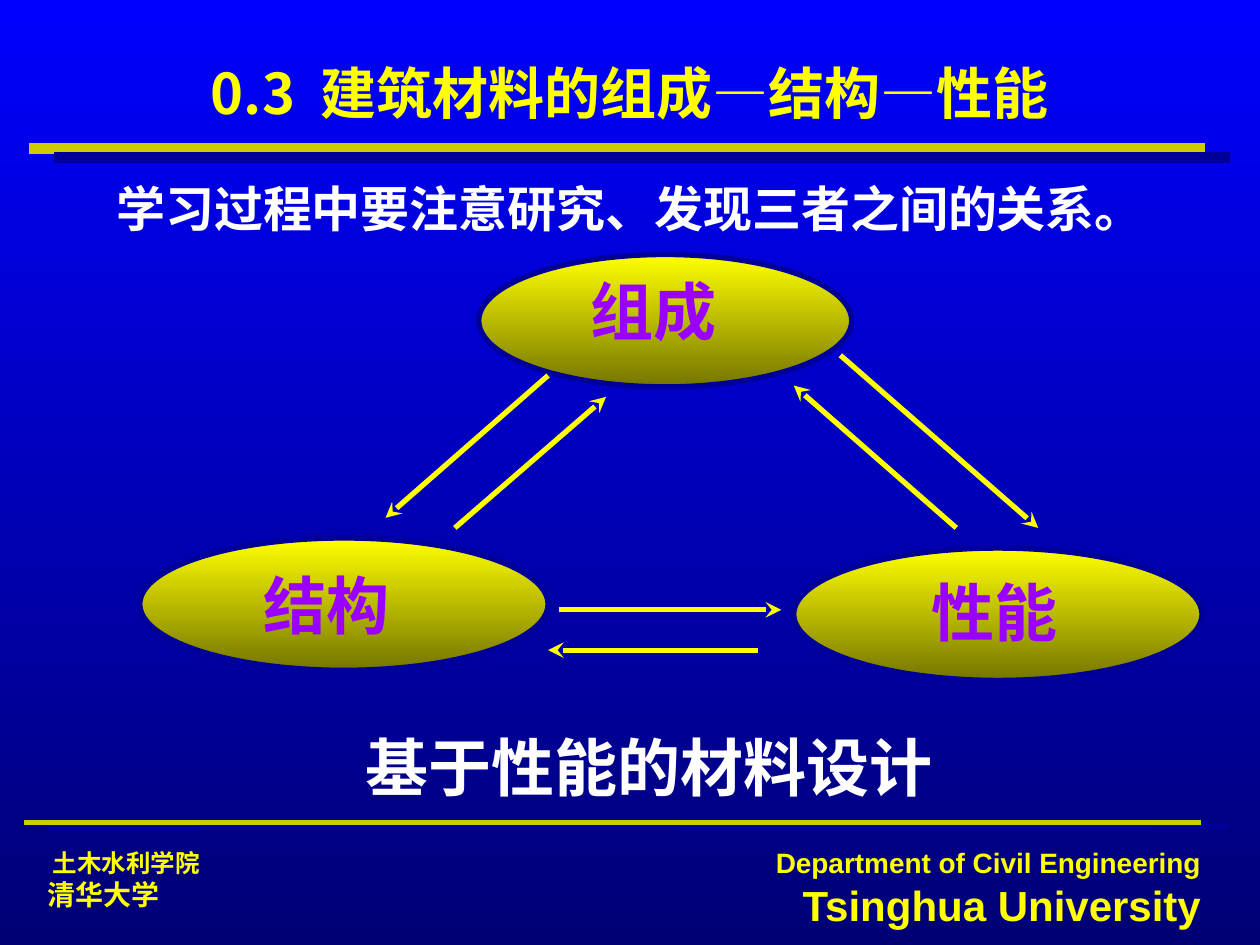
from dataclasses import dataclass

from lxml import etree
from pptx import Presentation
from pptx import util as u
from pptx.dml.color import RGBColor
from pptx.enum import shapes, text
from pptx.oxml import ns

YELLOW = RGBColor(0xFF, 0xFF, 0x00)
OLIVE = RGBColor(0x75, 0x75, 0x00)
GOLD = RGBColor(0xCC, 0xCC, 0x00)
BLUE = RGBColor(0x00, 0x00, 0xFF)
NAVY = RGBColor(0x00, 0x00, 0x75)
SHADE = RGBColor(0x00, 0x00, 0x99)
PURPLE = RGBColor(0x99, 0x00, 0xFF)
WHITE = RGBColor(0xFF, 0xFF, 0xFF)
LATIN, HAN = "Arial", "Noto Sans CJK SC"
LEFT, CENTER, RIGHT = text.PP_ALIGN.LEFT, text.PP_ALIGN.CENTER, text.PP_ALIGN.RIGHT

# The slide is a grid of 100 columns by 75 rows
SLIDE_W, SLIDE_H = u.Inches(10), u.Inches(7.5)
COLUMNS, ROWS = 100, 75


@dataclass
class Area:
    column: float
    row: float
    columns: float
    rows: float

    def lengths(self) -> list[int]:
        return [col(self.column), row(self.row), col(self.columns), row(self.rows)]


@dataclass
class Stroke:
    start: tuple[float, float]
    end: tuple[float, float]
    color: RGBColor = YELLOW
    points: float = 3
    arrow: bool = True


@dataclass
class Line:
    words: str
    size: float
    indent: float = 0


@dataclass
class Concept:
    name: str
    oval: Area
    label: Area


def col(count: float) -> int:
    return round(SLIDE_W * count / COLUMNS)


def row(count: float) -> int:
    return round(SLIDE_H * count / ROWS)


def fill_gradient(fill, top: RGBColor, bottom: RGBColor) -> None:
    fill.gradient()
    fill.gradient_angle = 270
    for stop, color in zip(fill.gradient_stops, (top, bottom)):
        stop.color.rgb = color


def format_span(span, size: float, color: RGBColor, latin: str) -> None:
    values = {"size": u.Pt(size), "bold": True, "name": latin}
    for name, value in values.items():
        setattr(span.font, name, value)
    span.font.color.rgb = color
    east = etree.SubElement(span.font._element, ns.qn("a:ea"))
    east.set("typeface", HAN)


def write(box, lines: list[Line], color: RGBColor, align=CENTER, wrap: bool = True,
          anchor=text.MSO_ANCHOR.MIDDLE, fit=text.MSO_AUTO_SIZE.SHAPE_TO_FIT_TEXT,
          latin: str = LATIN) -> None:
    frame = box.text_frame
    settings = {"word_wrap": wrap, "vertical_anchor": anchor, "auto_size": fit}
    for name, value in settings.items():
        setattr(frame, name, value)
    for number, line in enumerate(lines):
        para = frame.add_paragraph() if number else frame.paragraphs[0]
        properties = para._p.get_or_add_pPr()
        properties.set("marL", str(col(line.indent)))
        properties.set("indent", "0")
        etree.SubElement(properties, ns.qn("a:buNone"))
        para.alignment, para.space_before = align, u.Pt(0)
        span = para.add_run()
        span.text = line.words
        format_span(span, line.size, color, latin)


def add_text(page, area: Area, lines: list[Line], color: RGBColor, **options) -> None:
    write(page.shapes.add_textbox(*area.lengths()), lines, color, **options)


def place(holder, area: Area) -> None:
    holder.left, holder.top, holder.width, holder.height = area.lengths()


def add_stroke(page, stroke: Stroke) -> None:
    (x1, y1), (x2, y2) = stroke.start, stroke.end
    connector = page.shapes.add_connector(
        shapes.MSO_CONNECTOR.STRAIGHT, col(x1), row(y1), col(x2), row(y2))
    connector.line.color.rgb = stroke.color
    connector.line.width = u.Pt(stroke.points)
    if stroke.arrow:
        tip = etree.SubElement(connector.line._get_or_add_ln(), ns.qn("a:tailEnd"))
        tip.set("type", "stealth")
    etree.SubElement(connector._element.spPr, ns.qn("a:effectLst"))


def add_oval(page, area: Area) -> None:
    oval = page.shapes.add_shape(shapes.MSO_SHAPE.OVAL, *area.lengths())
    oval.shadow.inherit = False
    fill_gradient(oval.fill, YELLOW, OLIVE)
    oval.line.color.rgb = SHADE
    oval.line.width = u.Pt(3)


RULES = [
    Stroke((2.3, 11.8), (95.6, 11.8), GOLD, 6, False),
    Stroke((4.3, 12.5), (97.6, 12.5), SHADE, 6, False),
    Stroke((3.8, 65.7), (97.5, 65.6), SHADE, 3, False),
    Stroke((1.9, 65.3), (95.3, 65.3), GOLD, 3, False),
]
CONCEPTS = [
    Concept("组成", Area(38, 20.2, 29.6, 10.5), Area(45.9, 21.1, 12, 7)),
    Concept("结构", Area(11.1, 42.7, 32.4, 10.5), Area(19.9, 44.5, 12, 7)),
    Concept("性能", Area(63, 43.5, 32.4, 10.5), Area(72.9, 45, 12, 7)),
]
ARROWS = [
    Stroke((43.5, 29.8), (30.6, 41.1)),
    Stroke((44.4, 48.4), (62, 48.4)),
    Stroke((66.7, 28.2), (82.4, 41.9)),
    Stroke((36.1, 41.9), (48.1, 31.5)),
    Stroke((75.9, 41.9), (63, 30.6)),
    Stroke((60.2, 51.6), (43.5, 51.6)),
]


def main() -> None:
    deck = Presentation()
    deck.slide_width, deck.slide_height = SLIDE_W, SLIDE_H
    page = deck.slides.add_slide(deck.slide_layouts[1])
    fill_gradient(page.background.fill, BLUE, NAVY)

    # Title and lead sentence
    fixed = text.MSO_AUTO_SIZE.NONE
    title, body = page.shapes.title, page.placeholders[1]
    place(title, Area(7.5, 3.9, 85, 6.8))
    write(title, [Line("0.3", 32)], YELLOW, fit=fixed, latin=HAN)
    heading = title.text_frame.paragraphs[0]
    for words in (" ", "建筑材料的组成—结构—性能"):
        span = heading.add_run()
        span.text = words
        format_span(span, 32, YELLOW, HAN)
    heading.runs[1].font._element.set("spc", "700")  # wider gap after the number
    place(body, Area(0, 13.7, 100, 51.2))
    write(body, [Line("学习过程中要注意研究、发现三者之间的关系。", 28)], WHITE,
          anchor=text.MSO_ANCHOR.TOP, fit=fixed)

    # Rules and footer
    for rule in RULES:
        add_stroke(page, rule)
    add_text(page, Area(2.8, 66.8, 39.8, 6),
             [Line("土木水利学院", 14, 0.4), Line("清华大学", 16)], YELLOW, align=LEFT)
    add_text(page, Area(56.5, 66.6, 39.8, 7.7),
             [Line("Department of Civil Engineering", 16), Line("Tsinghua University", 24)],
             YELLOW, align=RIGHT)

    # Triangle of concepts
    for concept in CONCEPTS:
        add_oval(page, concept.oval)
        add_text(page, concept.label, [Line(concept.name, 36)], PURPLE, wrap=False)
    for arrow in ARROWS:
        add_stroke(page, arrow)

    # Conclusion
    add_text(page, Area(28, 57.3, 47, 7), [Line("基于性能的材料设计", 36)], WHITE, wrap=False)
    deck.save("out.pptx")


if __name__ == "__main__":
    main()
